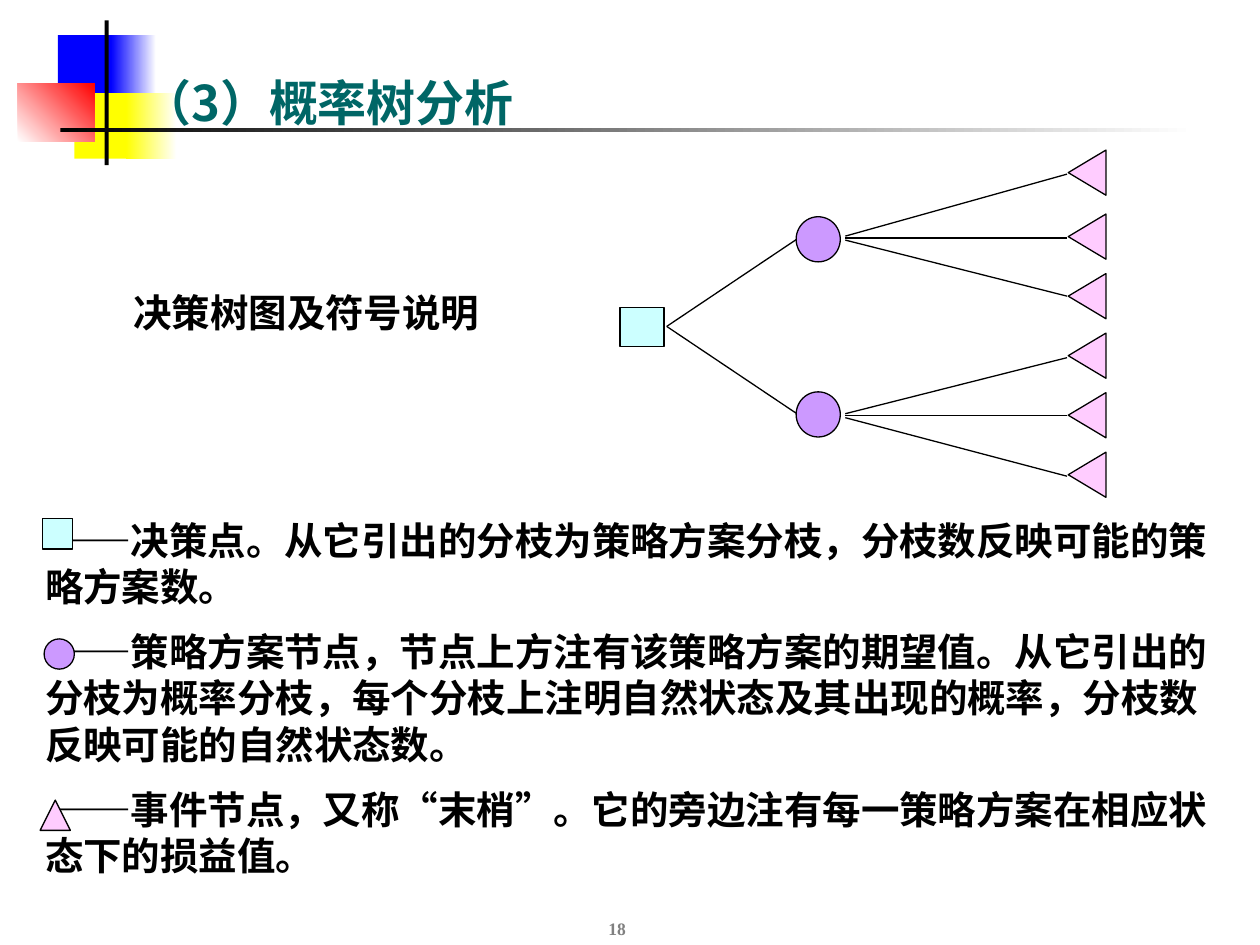
from lxml import etree
from pptx import Presentation
from pptx.dml.color import RGBColor
from pptx.enum.shapes import MSO_CONNECTOR, MSO_SHAPE
from pptx.enum.text import MSO_ANCHOR, PP_ALIGN
from pptx.oxml.ns import qn
from pptx.util import Cm, Pt

RECT = MSO_SHAPE.RECTANGLE
OVAL = MSO_SHAPE.OVAL
TRI = MSO_SHAPE.ISOSCELES_TRIANGLE
STRAIGHT = MSO_CONNECTOR.STRAIGHT
TOP, BOTTOM = MSO_ANCHOR.TOP, MSO_ANCHOR.BOTTOM
LEFT, CENTER = PP_ALIGN.LEFT, PP_ALIGN.CENTER

HAN, LATIN, SERIF = "Noto Sans CJK SC", "Arial", "Times New Roman"
BLACK, WHITE, GREY, TEAL = "000000", "FFFFFF", "808080", "006666"
BLUE, YELLOW, RED = "0000FF", "FFFF00", "FF0000"
CYAN, PURPLE, PINK = "CCFFFF", "CC99FF", "FFCCFF"


def color(code):
    return RGBColor.from_string(code)


class Page:
    """Holds the slide and the shared line and text style."""

    stroke = Pt(0.75)
    lead = 1.2

    def __init__(self, slide):
        self.slide = slide

    def shape(self, kind, x, y, w, h, fill, edge=True, turn=0):
        item = self.slide.shapes.add_shape(kind, Cm(x), Cm(y), Cm(w), Cm(h))
        item.shadow.inherit = False
        item.rotation = turn
        item.fill.solid()
        item.fill.fore_color.rgb = color(fill)
        if edge:
            item.line.color.rgb = color(BLACK)
            item.line.width = self.stroke
        else:
            item.line.fill.background()
        return item

    def fade(self, x, y, w, h, start, end, angle=0):
        fill = self.shape(RECT, x, y, w, h, start, edge=False).fill
        fill.gradient()
        fill.gradient_angle = angle
        for stop, code in zip(fill.gradient_stops, (start, end)):
            stop.color.rgb = color(code)

    def line(self, start, end):
        item = self.slide.shapes.add_connector(
            STRAIGHT, *(Cm(n) for n in (*start, *end)))
        item.line.color.rgb = color(BLACK)
        item.line.width = self.stroke
        etree.SubElement(item._element.spPr, qn("a:effectLst"))

    def text(self, x, y, w, h, parts, size, code=BLACK, face=HAN,
             anchor=TOP, align=LEFT, indent=0):
        """Each paragraph is a list of strings; dashes and quotes use LATIN."""
        frame = self.slide.shapes.add_textbox(
            Cm(x), Cm(y), Cm(w), Cm(h)).text_frame
        frame.word_wrap = True
        frame.vertical_anchor = anchor
        for i, runs in enumerate(parts):
            para = frame.add_paragraph() if i else frame.paragraphs[0]
            para.alignment = align
            para.line_spacing = Pt(size * self.lead)
            if i:
                para.space_before = Pt(size / 2)
            if indent:
                para._p.get_or_add_pPr().set("indent", str(Cm(indent)))
            for words in runs:
                run = para.add_run()
                run.text = words
                font = run.font
                font.size, font.bold = Pt(size), True
                font.color.rgb = color(code)
                font.name = LATIN if words in ("——", "“", "”") else face
                east = etree.SubElement(run._r.rPr, qn("a:ea"))
                east.set("typeface", face)


def main():
    deck = Presentation()
    deck.slide_width, deck.slide_height = Cm(25.4), Cm(19.05)
    page = Page(deck.slides.add_slide(deck.slide_layouts[6]))

    # Corner ornament and title rule
    page.shape(RECT, 1.17, 0.71, 1.22, 1.32, BLUE, edge=False)
    page.fade(2.24, 0.71, 0.91, 1.32, BLUE, WHITE)
    page.shape(RECT, 1.5, 1.88, 1.17, 1.32, YELLOW, edge=False)
    page.fade(2.54, 1.88, 1.02, 1.32, YELLOW, WHITE)
    page.fade(0.36, 1.68, 1.55, 1.17, WHITE, RED, angle=45)
    page.shape(RECT, 2.11, 0.41, 0.08, 2.92, BLACK, edge=False)
    page.fade(1.22, 2.59, 22.86, 0.08, BLACK, WHITE)

    # Title, label and page number
    page.text(2.62, 0.74, 17.5, 2.03, [["（3）概率树分析"]], 28, TEAL,
              anchor=BOTTOM)
    page.text(2.44, 5.7, 8.9, 1.2, [["决策树图及符号说明"]], 22)
    page.text(9.8, 17.78, 5.28, 1.27, [["18"]], 10, GREY, SERIF,
              anchor=BOTTOM, align=CENTER)

    # Tree nodes
    page.shape(RECT, 12.5, 6.2, 0.89, 0.79, CYAN)
    for y in (4.37, 7.9):
        page.shape(OVAL, 16.05, y, 0.89, 0.91, PURPLE)
    for y in [3.1] + [4.39 + 1.2 * i for i in range(5)]:
        page.shape(TRI, 21.46, y, 0.91, 0.76, PINK, turn=270)

    # Tree branches
    for y in (4.83, 8.33):
        page.line((13.44, 6.58), (16.05, y))
    for mid, ends in ((4.8, (3.51, 4.8, 5.97)), (8.38, (7.21, 8.38, 9.6))):
        for shift, end in zip((-0.04, 0, 0.04), ends):
            page.line((17.04, mid + shift), (21.51, end))

    # Legend text and symbols
    page.text(0.66, 10.29, 24.1, 7.7, [
        ["——", "决策点。从它引出的分枝为策略方案分枝，分枝数反映可能的策略方案数。"],
        ["——", "策略方案节点，节点上方注有该策略方案的期望值。从它引出的分枝为概率分枝，"
               "每个分枝上注明自然状态及其出现的概率，分枝数反映可能的自然状态数。"],
        ["——", "事件节点，又称", "“", "末梢", "”",
         "。它的旁边注有每一策略方案在相应状态下的损益值。"],
    ], 22, indent=0.18)
    for kind, x, y, fill in ((RECT, 0.86, 10.46, CYAN),
                             (OVAL, 0.89, 12.88, PURPLE),
                             (TRI, 0.81, 16.13, PINK)):
        page.shape(kind, x, y, 0.61, 0.61, fill)

    deck.save("out.pptx")


if __name__ == "__main__":
    main()
